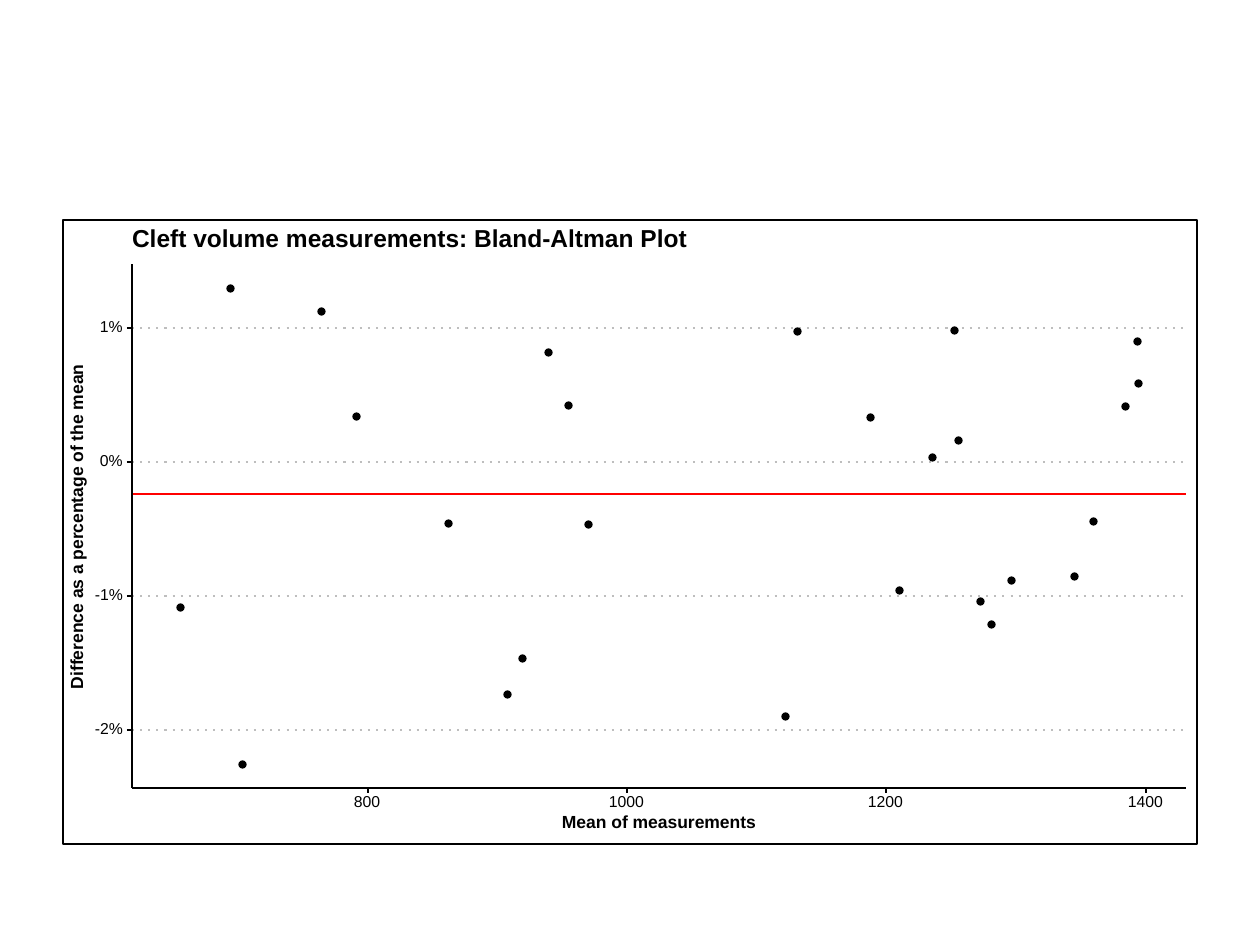
from pptx import Presentation
from pptx.dml.color import RGBColor
from pptx.enum.dml import MSO_LINE
from pptx.enum.shapes import MSO_CONNECTOR, MSO_SHAPE
from pptx.enum.text import MSO_ANCHOR
from pptx.oxml.ns import qn
from pptx.util import Emu, Pt
from lxml.etree import SubElement

BLACK = RGBColor(0x00, 0x00, 0x00)
WHITE = RGBColor(0xFF, 0xFF, 0xFF)
GREY = RGBColor(0xBE, 0xBE, 0xBE)
RED = RGBColor(0xFF, 0x00, 0x00)

LEFT, RIGHT, TOP, BOTTOM = 132, 1186, 264, 788
TICK, DOT = 5, 7
Y_LABELS = [("1%", 23), ("0%", 23), ("-1%", 28), ("-2%", 28)]
X_LABELS = [("800", 28), ("1000", 36), ("1200", 36), ("1400", 36)]
POINTS = [
    (588, 524), (448, 523), (980, 601), (242, 764), (180, 607), (1074, 576),
    (1011, 580), (522, 658), (507, 694), (1125, 406), (991, 624), (321, 311),
    (797, 331), (548, 352), (1093, 521), (932, 457), (870, 417), (1138, 383),
    (954, 330), (568, 405), (899, 590), (356, 416), (230, 288), (785, 716),
    (958, 440), (1137, 341),
]


def px(n):
    return Emu(n * 914400 // 126)


class Plot:
    """Draws plot elements on one slide in a single style."""

    font = "Arial"

    def __init__(self, slide):
        self.shapes = slide.shapes

    def shape(self, kind, x, y, w, h, fill, weight):
        sp = self.shapes.add_shape(kind, px(x), px(y), px(w), px(h))
        sp.shadow.inherit = False
        sp.fill.solid()
        sp.fill.fore_color.rgb = fill
        sp.line.color.rgb = BLACK
        sp.line.width = Pt(weight)

    def dot(self, x, y):
        self.shape(MSO_SHAPE.OVAL, x - DOT // 2, y - DOT // 2, DOT, DOT, BLACK, 0.71)

    def line(self, x1, y1, x2, y2, color=BLACK, weight=1.07, dotted=False):
        cx = self.shapes.add_connector(MSO_CONNECTOR.STRAIGHT, px(x1), px(y1), px(x2), px(y2))
        cx.line.color.rgb = color
        cx.line.width = Pt(weight)
        sp_pr = cx._element.spPr
        if dotted:
            cx.line.dash_style = MSO_LINE.ROUND_DOT
            sp_pr.find(".//" + qn("a:prstDash")).set("val", "dot")
        SubElement(sp_pr, qn("a:effectLst"))

    def text(self, x, y, w, h, text, size=9, bold=False, rotation=0):
        tb = self.shapes.add_textbox(px(x), px(y), px(w), px(h))
        tb.rotation = rotation
        tf = tb.text_frame
        tf.word_wrap = False
        tf.vertical_anchor = MSO_ANCHOR.MIDDLE
        tf.margin_left = tf.margin_right = tf.margin_top = tf.margin_bottom = 0
        p = tf.paragraphs[0]
        p.line_spacing = Pt(size)
        r = p.add_run()
        r.text = text
        r.font.name = self.font
        r.font.size = Pt(size)
        r.font.bold = bold
        r.font.color.rgb = BLACK


def main():
    prs = Presentation()
    prs.slide_width, prs.slide_height = px(1260), px(945)
    plot = Plot(prs.slides.add_slide(prs.slide_layouts[6]))
    y_ticks = [328 + 134 * i for i in range(len(Y_LABELS))]
    x_ticks = [368 + 778 * i // 3 for i in range(len(X_LABELS))]

    plot.shape(MSO_SHAPE.RECTANGLE, 63, 220, 1134, 624, WHITE, 1.16)
    for y in y_ticks:
        plot.line(LEFT, y, RIGHT, y, GREY, 1.16, dotted=True)
    for x, y in POINTS:
        plot.dot(x, y)
    plot.line(LEFT, 494, RIGHT, 494, RED)

    plot.line(LEFT, BOTTOM, LEFT, TOP)
    for y, (label, w) in zip(y_ticks, Y_LABELS):
        plot.text(123 - w, y - 6, w, 11, label)
        plot.line(LEFT - TICK, y, LEFT, y, weight=1.16)
    plot.line(LEFT, BOTTOM, RIGHT, BOTTOM)
    for x, (label, w) in zip(x_ticks, X_LABELS):
        plot.line(x, BOTTOM + TICK, x, BOTTOM, weight=1.16)
        plot.text(x - w // 2, 797, w, 11, label)

    plot.text(562, 817, 196, 13, "Mean of measurements", 10, True)
    plot.text(-86, 517, 328, 16, "Difference as a percentage of the mean", 10, True, 270)
    plot.text(LEFT, 231, 560, 18, "Cleft volume measurements: Bland-Altman Plot", 14, True)
    prs.save("out.pptx")


if __name__ == "__main__":
    main()
